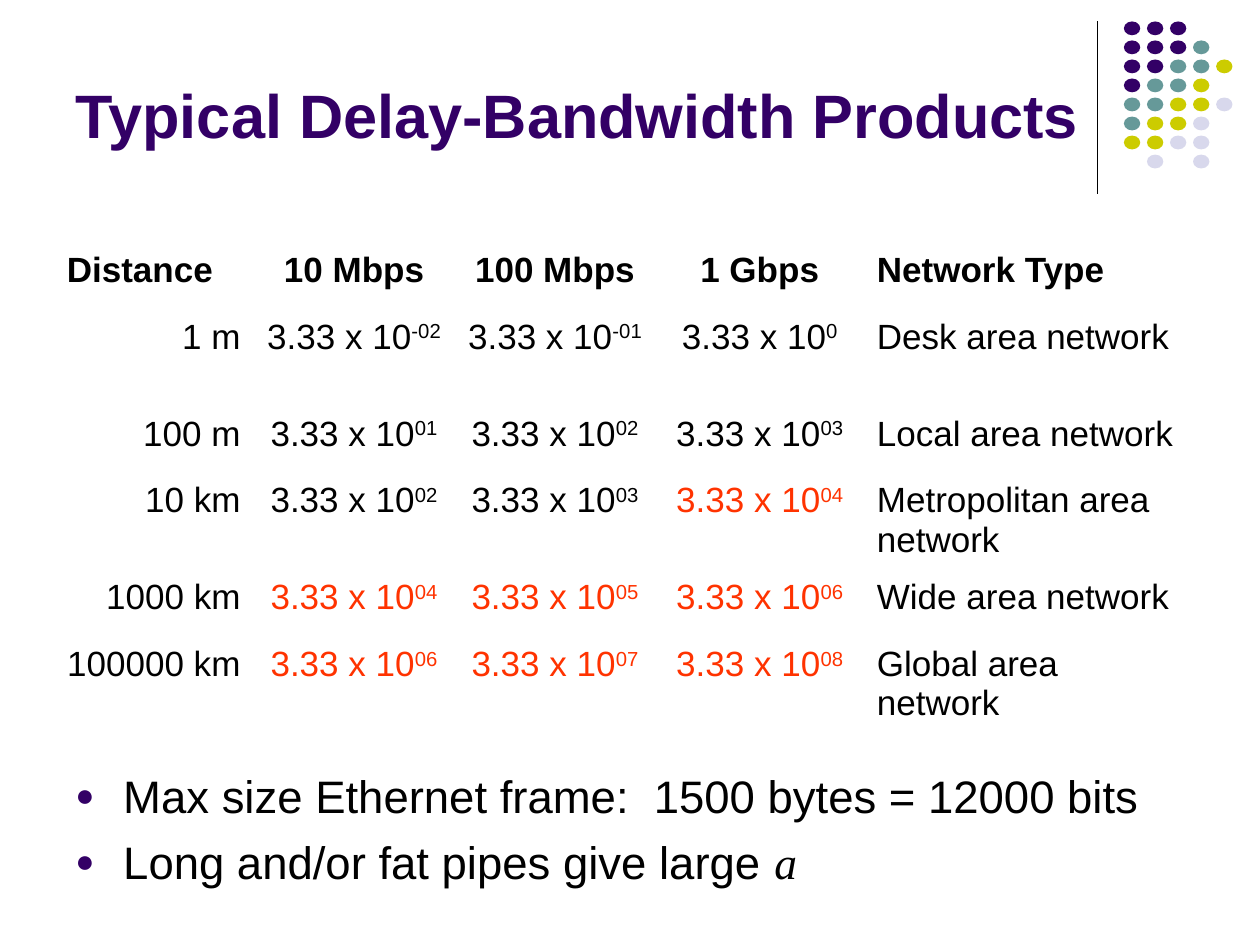
from dataclasses import dataclass

from lxml.etree import SubElement
from pptx import Presentation
from pptx.dml.color import RGBColor
from pptx.enum.shapes import MSO_CONNECTOR, MSO_SHAPE
from pptx.enum.text import MSO_ANCHOR, MSO_AUTO_SIZE, PP_ALIGN
from pptx.oxml.ns import qn
from pptx.util import Inches, Pt


@dataclass(frozen=True)
class Theme:
    plum: str = "330066"
    teal: str = "669999"
    lime: str = "CCCC00"
    mist: str = "D8D8EC"
    ink: str = "000000"
    red: str = "FF3300"
    sans: str = "Arial"
    serif: str = "Times New Roman"
    head: int = 35
    body: int = 26
    cell: int = 20


THEME = Theme()
LEFT, MID, RIGHT = PP_ALIGN.LEFT, PP_ALIGN.CENTER, PP_ALIGN.RIGHT

# One letter per dot; a blank is a gap in the grid
DOTS = ["PPP", "PPPT", "PPTTY", "PTTY", "TTYYM", "TYYM", "YYMM", " M M"]
TINTS = {"P": THEME.plum, "T": THEME.teal, "Y": THEME.lime, "M": THEME.mist}

HEADS = ["Distance", "10 Mbps", "100 Mbps", "1 Gbps", "Network Type"]
# Distance, exponents for the three rates, network type, first red column
ROWS = [
    ("1 m", ["-02", "-01", "0"], "Desk area network", 4),
    ("100 m", ["01", "02", "03"], "Local area network", 4),
    ("10 km", ["02", "03", "04"], "Metropolitan area network", 3),
    ("1000 km", ["04", "05", "06"], "Wide area network", 1),
    ("100000 km", ["06", "07", "08"], "Global area network", 1),
]
WIDTHS = [1.58, 1.6, 1.59, 1.66, 2.67]
HEIGHTS = [0.53, 0.77] * 3


def write(para, text, size=THEME.cell, color=THEME.ink, face=THEME.sans,
          bold=False, italic=False, lift=0):
    """Add a run; lift raises it by a percentage of its size."""
    run = para.add_run()
    run.text = text
    font = run.font
    font.size, font.name = Pt(size), face
    font.bold, font.italic = bold, italic
    font.color.rgb = RGBColor.from_string(color)
    if lift:
        font._element.set("baseline", str(lift * 1000))


def add_rule(slide):
    line = slide.shapes.add_connector(
        MSO_CONNECTOR.STRAIGHT, Inches(8.71), Inches(0.17),
        Inches(8.71), Inches(1.54))
    line.line.color.rgb = RGBColor.from_string(THEME.ink)
    line.line.width = Pt(0.75)
    SubElement(line._element.spPr, qn("a:effectLst"))


def add_dots(slide):
    for row, marks in enumerate(DOTS):
        for col, mark in enumerate(marks):
            if mark == " ":
                continue
            dot = slide.shapes.add_shape(
                MSO_SHAPE.OVAL, Inches(8.92 + 0.183 * col),
                Inches(0.17 + 0.151 * row), Inches(0.13), Inches(0.11))
            dot.shadow.inherit = False
            dot.fill.solid()
            dot.fill.fore_color.rgb = RGBColor.from_string(TINTS[mark])
            dot.line.fill.background()


def set_title(slide, text):
    title = slide.shapes.title
    title.left, title.top = Inches(0.5), Inches(0.13)
    title.width, title.height = Inches(8.25), Inches(1.12)
    frame = title.text_frame
    frame.auto_size = MSO_AUTO_SIZE.NONE
    frame.vertical_anchor = MSO_ANCHOR.BOTTOM
    para = frame.paragraphs[0]
    para.alignment = LEFT
    write(para, text, size=THEME.head, color=THEME.plum, bold=True)


def add_grid(slide):
    frame = slide.shapes.add_table(
        len(ROWS) + 1, len(HEADS), Inches(0.43), Inches(1.94),
        Inches(sum(WIDTHS)), Inches(sum(HEIGHTS)))
    grid = frame.table
    grid.first_row = grid.horz_banding = False
    for col, width in zip(grid.columns, WIDTHS):
        col.width = Inches(width)
    for row, height in zip(grid.rows, HEIGHTS):
        row.height = Inches(height)

    def start(row, col, align):
        cell = grid.cell(row, col)
        cell.fill.background()
        para = cell.text_frame.paragraphs[0]
        para.alignment = align
        return para

    # Header row
    for col, head in enumerate(HEADS):
        align = MID if 0 < col < 4 else LEFT
        write(start(0, col, align), head, bold=True)
    # Data rows
    for row, (reach, powers, kind, hot) in enumerate(ROWS, 1):
        write(start(row, 0, RIGHT), reach)
        for col, power in enumerate(powers, 1):
            para = start(row, col, MID)
            color = THEME.red if col >= hot else THEME.ink
            write(para, "3.33 x 10", color=color)
            write(para, power, color=color, lift=30)
        write(start(row, 4, LEFT), kind)


def add_mark(para):
    """Give a paragraph a hanging round bullet."""
    props = para._p.get_or_add_pPr()
    props.set("marL", str(Inches(0.38)))
    props.set("indent", str(-Inches(0.38)))
    tint = SubElement(props, qn("a:buClr"))
    SubElement(tint, qn("a:srgbClr"), val=THEME.plum)
    SubElement(props, qn("a:buSzPct"), val="70000")
    SubElement(props, qn("a:buFont"), typeface=THEME.sans)
    SubElement(props, qn("a:buChar"), char="●")


def add_notes(slide, notes):
    box = slide.shapes.add_textbox(
        Inches(0.5), Inches(6.05), Inches(9), Inches(1.36))
    frame = box.text_frame
    frame.word_wrap = True
    for i, runs in enumerate(notes):
        para = frame.add_paragraph() if i else frame.paragraphs[0]
        para.space_before = Pt(6.5)
        add_mark(para)
        for text, style in runs:
            write(para, text, size=THEME.body, **style)


def main():
    deck = Presentation()
    deck.slide_width, deck.slide_height = Inches(10), Inches(7.5)
    slide = deck.slides.add_slide(deck.slide_layouts[5])
    # Corner ornament
    add_rule(slide)
    add_dots(slide)
    # Content
    set_title(slide, "Typical Delay-Bandwidth Products")
    add_grid(slide)
    add_notes(slide, [
        [("Max size Ethernet frame:  1500 bytes = 12000 bits", {})],
        [("Long and/or fat pipes give large ", {}),
         ("a", {"face": THEME.serif, "italic": True})],
    ])
    deck.save("out.pptx")


if __name__ == "__main__":
    main()
